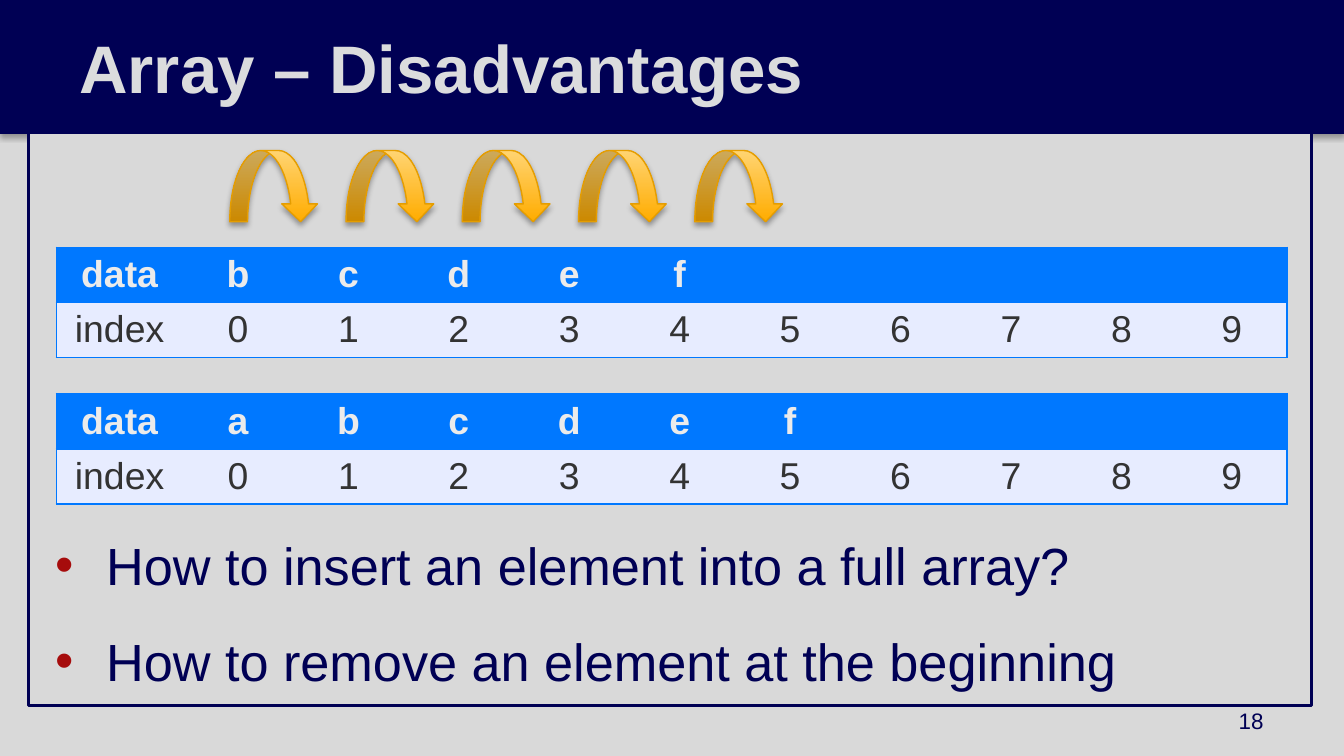
import dataclasses
import typing

import pptx
import pptx.dml.color
import pptx.enum.shapes
import pptx.enum.text
import pptx.oxml
import pptx.oxml.ns
import pptx.util

Inches = pptx.util.Inches
Pt = pptx.util.Pt
Kind = pptx.enum.shapes.MSO_SHAPE
Align = pptx.enum.text.PP_ALIGN
Anchor = pptx.enum.text.MSO_ANCHOR
NS = pptx.oxml.ns.nsdecls("a")


@dataclasses.dataclass(frozen=True)
class Theme:
    font: str = "Arial"
    navy: str = "000054"
    paper: str = "D9D9D9"
    title: str = "DBDCDD"
    bullet: str = "A60C0C"
    blue: str = "0078FF"
    pale: str = "E7ECFF"
    light: str = "EBEBEB"
    dark: str = "333333"
    amber: str = "FFAC00"
    sand: str = "FFD472"
    rim: str = "E59D00"
    head_pt: int = 36
    body_pt: int = 28
    cell_pt: int = 20
    page_pt: int = 12


@dataclasses.dataclass(frozen=True)
class Box:
    left: float
    top: float
    width: float
    height: float

    def emu(self) -> list:
        return [Inches(v) for v in dataclasses.astuple(self)]


@dataclasses.dataclass(frozen=True)
class Grid:
    top: float
    data: str


THEME = Theme()
COLS = 11
WIDE, FIRST = 9.16, 0.94
GRIDS = [Grid(1.84, "bcdef"), Grid(2.93, "abcdef")]
STEP = (5.17 - 1.71) / 4
ARROWS = [Box(1.71 + STEP * i, 1.12, 0.66, 0.53) for i in range(5)]
POINTS = ["How to insert an element into a full array?",
          "How to remove an element at the beginning"]


def rgb(code: str) -> pptx.dml.color.RGBColor:
    return pptx.dml.color.RGBColor.from_string(code)


def style(para: typing.Any, size: int, color: str, bold: bool = False) -> None:
    font = para.font
    font.name, font.size, font.bold = THEME.font, Pt(size), bold
    font.color.rgb = rgb(color)


def shape(slide: typing.Any, kind: typing.Any, box: Box, fill: str,
          line: str = "", width: float = 0.75) -> typing.Any:
    item = slide.shapes.add_shape(kind, *box.emu())
    item.shadow.inherit = False
    item.fill.solid()
    item.fill.fore_color.rgb = rgb(fill)
    if line:
        item.line.color.rgb = rgb(line)
        item.line.width = Pt(width)
    else:
        item.line.fill.background()
    return item


def shade(item: typing.Any) -> None:
    group = item._element.spPr.find(pptx.oxml.ns.qn("a:effectLst"))
    group.append(pptx.oxml.parse_xml(
        f'<a:outerShdw {NS} blurRad="{Pt(3.1)}" dist="{Pt(1.8)}" dir="5400000" '
        'rotWithShape="0"><a:srgbClr val="000000"><a:alpha val="35000"/>'
        '</a:srgbClr></a:outerShdw>'))


def bullet(para: typing.Any) -> None:
    props = para._p.get_or_add_pPr()
    props.set("marL", str(Inches(0.38)))
    props.set("indent", str(Inches(-0.38)))
    last = props.find(pptx.oxml.ns.qn("a:defRPr"))
    for xml in (f'<a:buClr {NS}><a:srgbClr val="{THEME.bullet}"/></a:buClr>',
                f'<a:buFont {NS} typeface="{THEME.font}"/>',
                f'<a:buChar {NS} char="•"/>'):
        last.addprevious(pptx.oxml.parse_xml(xml))


def arrow(slide: typing.Any, box: Box) -> None:
    item = shape(slide, Kind.CURVED_DOWN_ARROW, box, THEME.amber, THEME.rim)
    item.fill.gradient()
    item.fill.gradient_angle = 90
    for stop, color in zip(item.fill.gradient_stops, (THEME.amber, THEME.sand)):
        stop.color.rgb = rgb(color)
    shade(item)


def edges(cell: typing.Any, sides: str) -> None:
    props = cell._tc.get_or_add_tcPr()
    for n, side in enumerate(sides):
        props.insert(n, pptx.oxml.parse_xml(
            f'<a:ln{side} {NS} w="{Pt(1)}"><a:solidFill>'
            f'<a:srgbClr val="{THEME.blue}"/></a:solidFill></a:ln{side}>'))


def table(slide: typing.Any, grid: Grid) -> None:
    area = Box(0.42, grid.top, WIDE, 0.82)
    item = slide.shapes.add_table(2, COLS, *area.emu()).table
    item.first_row = item.horz_banding = False
    # Plain table style: no grid lines of its own
    look = item._tbl.tblPr.find(pptx.oxml.ns.qn("a:tableStyleId"))
    look.text = "{2D5ABB26-0587-4C30-8999-92F81FD0307C}"
    for n, col in enumerate(item.columns):
        col.width = Inches((WIDE - FIRST) / (COLS - 1) if n else FIRST)
    data = ["data", *grid.data] + [""] * (COLS - 1 - len(grid.data))
    index = ["index", *map(str, range(COLS - 1))]
    looks = [(data, THEME.blue, THEME.light, True),
             (index, THEME.pale, THEME.dark, False)]
    for r, (words, fill, color, bold) in enumerate(looks):
        for c, word in enumerate(words):
            cell = item.cell(r, c)
            cell.text = word
            cell.fill.solid()
            cell.fill.fore_color.rgb = rgb(fill)
            para = cell.text_frame.paragraphs[0]
            para.alignment = Align.CENTER
            style(para, THEME.cell_pt, color, bold)
            edges(cell, ("L" if c == 0 else "R" if c == COLS - 1 else "") + "TB")


def main() -> None:
    deck = pptx.Presentation()
    deck.slide_width = Inches(10)
    deck.slide_height = Inches(10 * 9 / 16)
    slide = deck.slides.add_slide(deck.slide_layouts[6])
    slide.background.fill.solid()
    slide.background.fill.fore_color.rgb = rgb(THEME.paper)

    # Header band
    shade(shape(slide, Kind.RECTANGLE, Box(0, 0, 10, 0.99), THEME.navy, THEME.navy))

    # Framed body with the questions at its foot
    body = shape(slide, Kind.RECTANGLE, Box(0.21, 0.99, 9.55, 4.26),
                 THEME.paper, THEME.navy, 1.5)
    frame = body.text_frame
    frame.margin_left = frame.margin_right = Inches(0.2)
    frame.margin_top = frame.margin_bottom = Inches(0.1)
    frame.vertical_anchor = Anchor.BOTTOM
    frame.text = "\n".join(POINTS)
    for para in frame.paragraphs:
        para.alignment = Align.LEFT
        para.space_before = Pt(18)
        style(para, THEME.body_pt, THEME.navy)
        bullet(para)

    # Title
    title = shape(slide, Kind.RECTANGLE, Box(0, 0, 9.03, 0.99), THEME.navy)
    frame = title.text_frame
    frame.margin_left, frame.margin_right = Inches(0.59), Inches(0.4)
    frame.vertical_anchor = Anchor.MIDDLE
    frame.text = "Array – Disadvantages"
    frame.paragraphs[0].alignment = Align.LEFT
    style(frame.paragraphs[0], THEME.head_pt, THEME.title, True)

    # Arrays and the shifts between cells
    for grid in GRIDS:
        table(slide, grid)
    for box in ARROWS:
        arrow(slide, box)

    # Page number
    page = slide.shapes.add_textbox(*Box(7.17, 5.21, 2.33, 0.3).emu())
    frame = page.text_frame
    frame.word_wrap = True
    frame.vertical_anchor = Anchor.MIDDLE
    frame.text = "18"
    frame.paragraphs[0].alignment = Align.RIGHT
    style(frame.paragraphs[0], THEME.page_pt, THEME.navy)

    deck.save("out.pptx")


if __name__ == "__main__":
    main()
